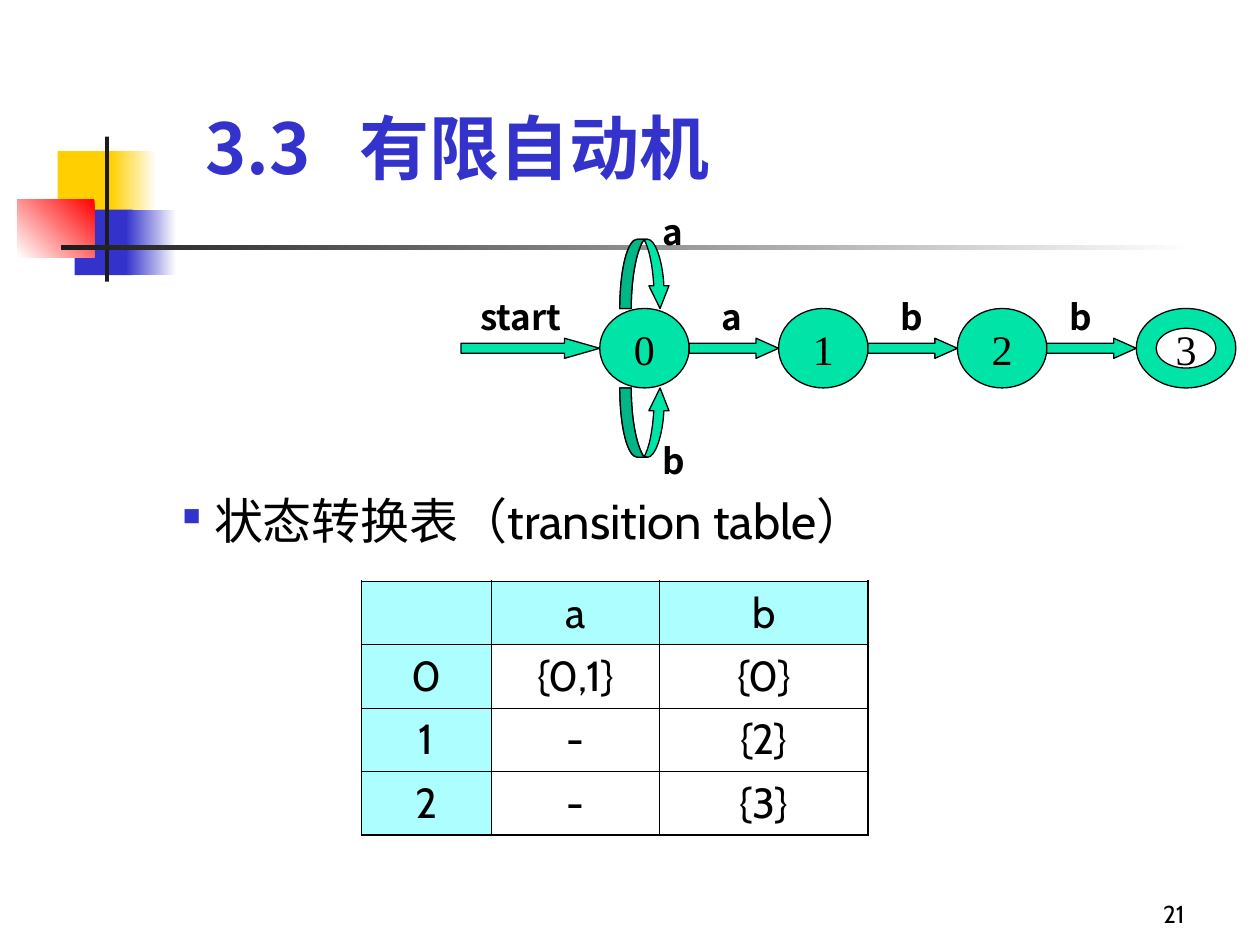
from dataclasses import dataclass
from typing import NamedTuple

from lxml.etree import SubElement
from pptx import Presentation
from pptx.dml.color import RGBColor
from pptx.enum.shapes import MSO_SHAPE as Preset
from pptx.enum.text import MSO_ANCHOR as Anchor, MSO_AUTO_SIZE as AutoSize, PP_ALIGN as Align
from pptx.oxml.ns import qn
from pptx.util import Pt

BLACK, WHITE, INK = "000000", "FFFFFF", "1C1C1C"
BLUE, YELLOW, RED = "3333CC", "FFCF01", "FF0000"
GREEN, CYAN = "00E4A8", "ADFFFF"
CJK = "Noto Sans CJK SC"


class Box(NamedTuple):
    left: float
    top: float
    width: float
    height: float

    def lengths(self) -> list:
        return [Pt(value) for value in self]


@dataclass(frozen=True)
class Style:
    size: float
    font: str
    color: str = BLACK
    bold: bool = False
    align: Align = Align.CENTER
    before: float = 0


@dataclass(frozen=True)
class Band:
    """A plain or, with an angle, two-colour rectangle of the slide decoration."""
    box: Box
    start: str
    end: str = WHITE
    angle: float | None = None


class Label(NamedTuple):
    text: str
    left: float
    top: float
    width: float = 23


TITLE = Style(40, CJK, BLUE, True, Align.LEFT)
TOPIC = Style(28, "Cabin", align=Align.LEFT, before=7)
STATE = Style(24, "Times New Roman")
LABEL = Style(20, CJK, bold=True, before=12.5)
CELL = Style(24, "Cabin", before=6)
NUMBER = Style(14, "Cabin", align=Align.RIGHT)

DECORATION = [
    Band(Box(33, 86.4, 34.6, 37.4), YELLOW),
    Band(Box(63.4, 86.4, 26, 37.4), WHITE, YELLOW, 180),
    Band(Box(42.7, 119.8, 33.1, 37.4), BLUE),
    Band(Box(72, 119.8, 28.8, 37.4), WHITE, BLUE, 180),
    Band(Box(10, 113.8, 44, 33.1), RED, WHITE, 225),
    Band(Box(60.1, 78.1, 2.2, 82.8), INK),
    Band(Box(34.6, 140.2, 648, 2.5), WHITE, INK, 180),
]

STATE_LEFT, STATE_TOP, STATE_WIDTH, STATE_HEIGHT = 342.7, 176.3, 51.1, 45.4
STATE_PITCH = 2 * STATE_WIDTH
FINAL_WIDTH = 56.9
ARROW_TOP, ARROW_HEIGHT = 193.3, 11.5
LABELS = [
    Label("start", 258, 164.9, 79.2), Label("a", 405.4, 164.9), Label("b", 507.6, 164.9),
    Label("b", 603.8, 164.9), Label("b", 371.5, 247), Label("a", 371.5, 116.3),
]

# Loop outlines as (across, away from the state); six numbers make a Bézier curve.
LOOP_LEFT = 354.2
LOOP_OUTER = [(0, 0), (0, 22, 4.3, 39.6, 10.1, 39.6), (15.8, 39.6)]
LOOP_HEAD = [(20.2, 39.6, 24.5, 27.4, 25.2, 13), (28.1, 13), (23, 0), (16.6, 13),
             (19.4, 13), (18.7, 25, 16.6, 35, 13.7, 39.6)]
LOOP_SHADE = [(14.4, 39.6, 13, 38.9, 12.2, 36.7)]
LOOP_INNER = [(13, 38), (9.4, 32, 6.5, 17, 6.5, 0)]

COLUMN_WIDTHS = [74.2, 96.2, 119.2]
ROW_HEIGHT = 36.2
TRANSITIONS = [["", "a", "b"], ["0", "{0,1}", "{0}"], ["1", "-", "{2}"], ["2", "-", "{3}"]]


def rgb(color: str) -> RGBColor:
    return RGBColor.from_string(color)


def write(frame, text: str, style: Style):
    frame.text = text
    paragraph = frame.paragraphs[0]
    paragraph.alignment = style.align
    paragraph.space_before = Pt(style.before)
    for run in paragraph.runs:
        font = run.font
        font.size, font.name, font.bold = Pt(style.size), style.font, style.bold
        font.color.rgb = rgb(style.color)
        SubElement(run._r.get_or_add_rPr(), qn("a:ea"), typeface=CJK)
    return paragraph


def add_text(shapes, box: Box, text: str, style: Style, anchor: Anchor = Anchor.BOTTOM):
    frame = shapes.add_textbox(*box.lengths()).text_frame
    frame.word_wrap = True
    frame.vertical_anchor = anchor
    return write(frame, text, style)


def paint(shape, fill: str, outlined: bool = True) -> None:
    shape.shadow.inherit = False
    shape.fill.solid()
    shape.fill.fore_color.rgb = rgb(fill)
    if outlined:
        shape.line.color.rgb = rgb(BLACK)
        shape.line.width = Pt(0.75)
    else:
        shape.line.fill.background()


def add_band(shapes, band: Band) -> None:
    shape = shapes.add_shape(Preset.RECTANGLE, *band.box.lengths())
    paint(shape, band.start, outlined=False)
    if band.angle is not None:
        shape.fill.gradient()
        shape.fill.gradient_angle = band.angle
        for stop, color, position in zip(shape.fill.gradient_stops, (band.start, band.end), (0, 1)):
            stop.color.rgb = rgb(color)
            stop.position = position


def add_state(shapes, index: int, final: bool) -> None:
    box = Box(STATE_LEFT + index * STATE_PITCH, STATE_TOP,
              FINAL_WIDTH if final else STATE_WIDTH, STATE_HEIGHT)
    state = shapes.add_shape(Preset.DONUT if final else Preset.OVAL, *box.lengths())
    paint(state, GREEN)
    state.text_frame.word_wrap = False
    state.text_frame.vertical_anchor = Anchor.MIDDLE
    write(state.text_frame, str(index), STATE)


def add_arrow(shapes, left: float, width: float, head: float) -> None:
    arrow = shapes.add_shape(Preset.RIGHT_ARROW, *Box(left, ARROW_TOP, width, ARROW_HEIGHT).lengths())
    arrow.adjustments[1] = head
    paint(arrow, GREEN)


def add_loop(shapes, base: float, upward: bool) -> None:
    """Draw a curved arrow with a shaded near half, away from the state's edge."""
    direction = -1 if upward else 1
    start, *ends = [(Pt(LOOP_LEFT + part[-2]), Pt(base + direction * part[-1]))
                    for part in LOOP_OUTER + LOOP_HEAD + LOOP_INNER]
    builder = shapes.build_freeform(*start)
    builder.add_line_segments(ends, close=True)
    loop = builder.convert_to_shape()
    paint(loop, GREEN)
    path_list = loop._element.spPr.find(f".//{qn('a:pathLst')}")
    path_list.clear()
    for middle, shade in ((LOOP_HEAD, "norm"), (LOOP_SHADE, "darkenLess")):
        path = SubElement(path_list, qn("a:path"), w=str(loop.width), h=str(loop.height), fill=shade)
        for index, part in enumerate(LOOP_OUTER + middle + LOOP_INNER):
            tag = "moveTo" if index == 0 else "lnTo" if len(part) == 2 else "cubicBezTo"
            segment = SubElement(path, qn(f"a:{tag}"))
            for x, y in zip(part[::2], part[1::2]):
                away = loop.height - Pt(y) if upward else Pt(y)
                SubElement(segment, qn("a:pt"), x=str(Pt(x)), y=str(away))
        SubElement(path, qn("a:close"))


def set_borders(cell, outer: dict[str, bool]) -> None:
    properties = cell._tc.get_or_add_tcPr()
    for index, (side, is_outer) in enumerate(outer.items()):
        line = SubElement(properties, qn(f"a:{side}"), w=str(Pt(1.08 if is_outer else 0.45)))
        SubElement(SubElement(line, qn("a:solidFill")), qn("a:srgbClr"), val=BLACK)
        properties.insert(index, line)


def add_transition_table(shapes) -> None:
    rows, columns = len(TRANSITIONS), len(COLUMN_WIDTHS)
    box = Box(206.6, 332.2, sum(COLUMN_WIDTHS), rows * ROW_HEIGHT)
    table = shapes.add_table(rows, columns, *box.lengths()).table
    table.first_row = table.horz_banding = False
    for column, width in zip(table.columns, COLUMN_WIDTHS):
        column.width = Pt(width)
    for r, values in enumerate(TRANSITIONS):
        for c, value in enumerate(values):
            cell = table.cell(r, c)
            write(cell.text_frame, value, CELL)
            if r == 0 or c == 0:
                cell.fill.solid()
                cell.fill.fore_color.rgb = rgb(CYAN)
            else:
                cell.fill.background()
            set_borders(cell, {"lnL": c == 0, "lnR": c == columns - 1,
                               "lnT": r == 0, "lnB": r == rows - 1})


def main() -> None:
    deck = Presentation()
    deck.slide_width, deck.slide_height = Pt(720), Pt(540)
    shapes = deck.slides.add_slide(deck.slide_layouts[6]).shapes
    for band in DECORATION:
        add_band(shapes, band)

    title = add_text(shapes, Box(110.2, 48.5, 594, 62.6), "3.3\t有限自动机", TITLE)
    tabs = SubElement(title._p.get_or_add_pPr(), qn("a:tabLst"))
    SubElement(tabs, qn("a:tab"), pos=str(Pt(88.3)), algn="l")

    topic = add_text(shapes, Box(25.2, 270, 617.8, 51.1), "状态转换表（transition table）", TOPIC, Anchor.TOP)
    topic.line_spacing = 1.2
    bullet = topic._p.get_or_add_pPr()
    bullet.set("marL", str(Pt(90)))
    bullet.set("indent", str(Pt(-18)))
    SubElement(SubElement(bullet, qn("a:buClr")), qn("a:srgbClr"), val=BLUE)
    SubElement(bullet, qn("a:buSzPct"), val="50000")
    SubElement(bullet, qn("a:buChar"), char="■")

    for index in range(4):
        add_state(shapes, index, final=index == 3)
    add_arrow(shapes, 263.5, 79.2, 1.75)
    for index in range(3):
        add_arrow(shapes, STATE_LEFT + STATE_WIDTH + index * STATE_PITCH, STATE_WIDTH, 1.12)
    add_loop(shapes, STATE_TOP + STATE_HEIGHT, upward=False)
    add_loop(shapes, STATE_TOP, upward=True)
    for label in LABELS:
        paragraph = add_text(shapes, Box(label.left, label.top, label.width, 31.7), label.text, LABEL)
        paragraph._parent.auto_size = AutoSize.SHAPE_TO_FIT_TEXT

    add_transition_table(shapes)
    add_text(shapes, Box(534.2, 498.2, 149.8, 36), "21", NUMBER)
    deck.save("out.pptx")


if __name__ == "__main__":
    main()
